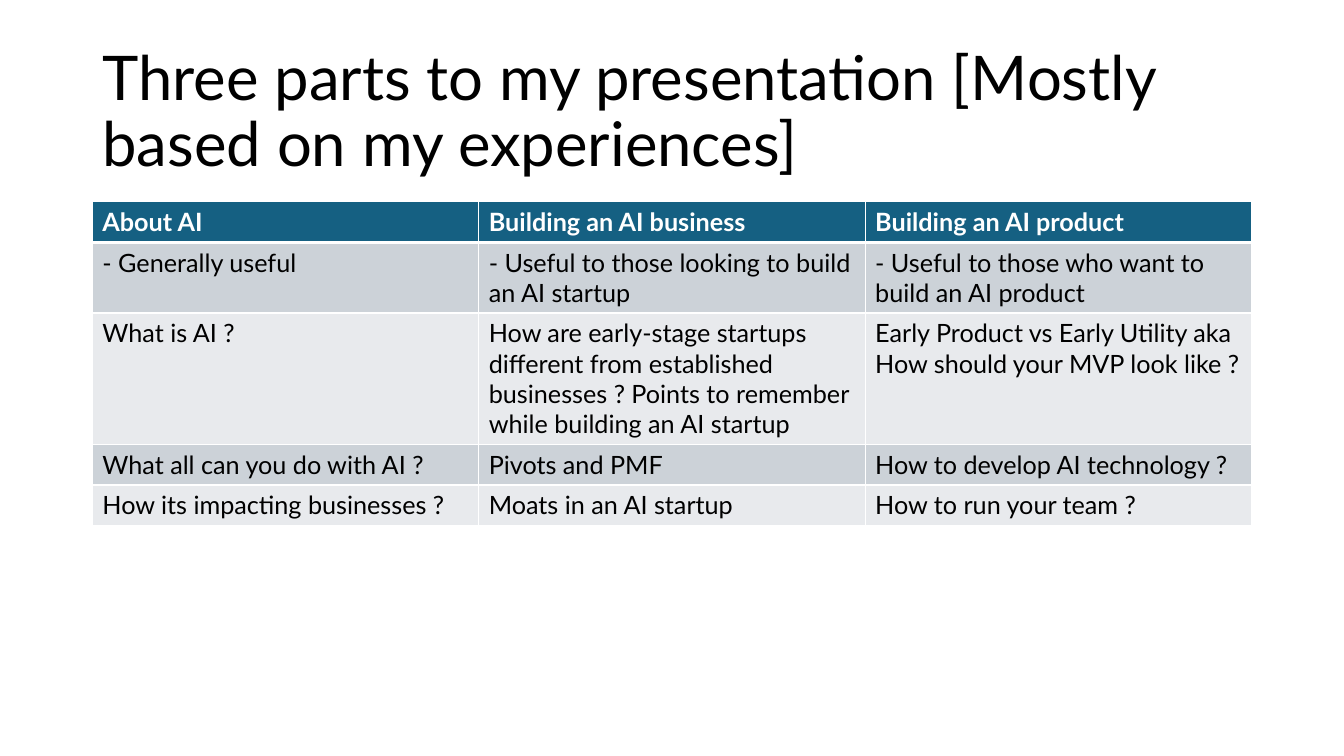
from lxml.etree import SubElement
from pptx import Presentation
from pptx.dml.color import RGBColor
from pptx.enum.text import MSO_ANCHOR, MSO_AUTO_SIZE, PP_ALIGN
from pptx.oxml.ns import qn
from pptx.util import Pt

TITLE = "Three parts to my presentation [Mostly based on my experiences]"
ROWS = [
    ("About AI", "Building an AI business", "Building an AI product"),
    ("- Generally useful",
     "- Useful to those looking to build an AI startup",
     "- Useful to those who want to build an AI product"),
    ("What is AI ?",
     "How are early-stage startups different from established businesses ? "
     "Points to remember while building an AI startup",
     "Early Product vs Early Utility aka How should your MVP look like ?"),
    ("What all can you do with AI ?", "Pivots and PMF",
     "How to develop AI technology ?"),
    ("How its impacting businesses ?", "Moats in an AI startup",
     "How to run your team ?"),
]
COLORS = {"header": "156082", "odd": "CCD2D8", "even": "E8EAED",
          "white": "FFFFFF", "black": "000000"}
FONT = "Lato"
LEFT, WIDTH = 66, 828
TITLE_TOP, TITLE_HEIGHT = 28.75, 104.4
TABLE_TOP, ROW_HEIGHT = 144, 29.2
THIN, THICK = 1, 3


def style_text(p, size, color, bold=False):
    for r in p.runs:
        r.font.name = FONT
        r.font.size = Pt(size)
        r.font.bold = bold
        r.font.color.rgb = RGBColor.from_string(COLORS[color])


def add_borders(cell, widths):
    """Draw white cell edges; widths are left, right, top, bottom."""
    tc_pr = cell._tc.get_or_add_tcPr()
    for side, width in zip("LRTB", widths):
        ln = SubElement(tc_pr, qn(f"a:ln{side}"), w=str(Pt(width)))
        fill = SubElement(ln, qn("a:solidFill"))
        SubElement(fill, qn("a:srgbClr"), val=COLORS["white"])


def add_title(s):
    title = s.shapes.title
    title.left, title.top = Pt(LEFT), Pt(TITLE_TOP)
    title.width, title.height = Pt(WIDTH), Pt(TITLE_HEIGHT)
    tf = title.text_frame
    tf.text = TITLE
    tf.word_wrap = True
    tf.auto_size = MSO_AUTO_SIZE.NONE
    tf.vertical_anchor = MSO_ANCHOR.MIDDLE
    p = tf.paragraphs[0]
    p.alignment = PP_ALIGN.LEFT
    p.line_spacing = 0.9
    style_text(p, 44, "black")


def add_parts_table(s):
    table = s.shapes.add_table(
        len(ROWS), len(ROWS[0]), Pt(LEFT), Pt(TABLE_TOP),
        Pt(WIDTH), Pt(ROW_HEIGHT * len(ROWS))).table
    for i, row in enumerate(ROWS):
        header = i == 0
        band = "header" if header else "odd" if i % 2 else "even"
        top = THICK if i == 1 else THIN
        bottom = THICK if header else THIN
        for j, text in enumerate(row):
            cell = table.cell(i, j)
            cell.text_frame.text = text
            style_text(cell.text_frame.paragraphs[0], 18,
                       "white" if header else "black", header)
            add_borders(cell, (THIN, THIN, top, bottom))
            cell.fill.solid()
            cell.fill.fore_color.rgb = RGBColor.from_string(COLORS[band])


def main():
    prs = Presentation()
    prs.slide_width, prs.slide_height = Pt(960), Pt(540)
    s = prs.slides.add_slide(prs.slide_layouts[5])
    add_title(s)
    add_parts_table(s)
    prs.save("out.pptx")


if __name__ == "__main__":
    main()
